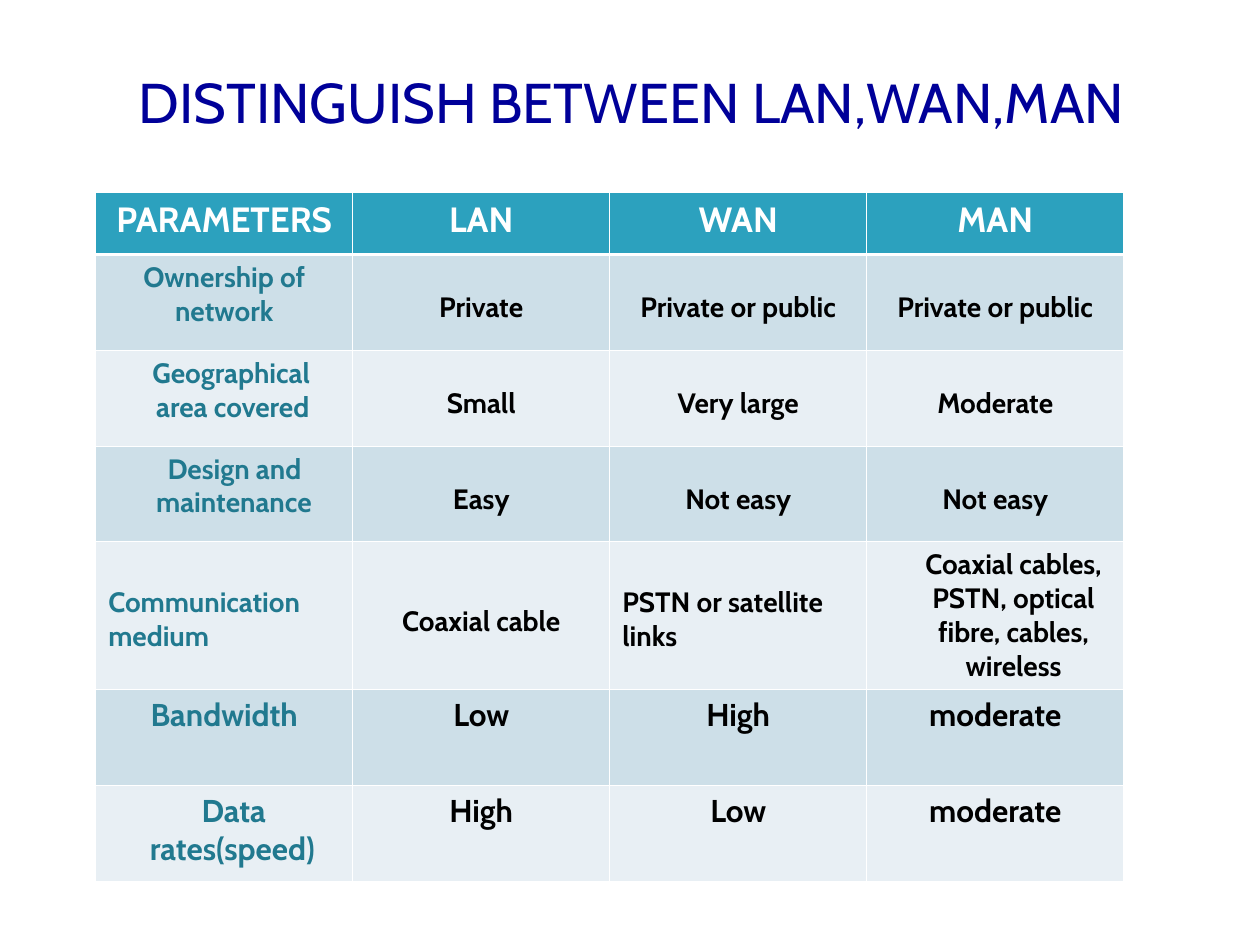
from lxml.etree import SubElement
from pptx import Presentation
from pptx.dml.color import RGBColor
from pptx.enum.text import MSO_ANCHOR as Anchor, PP_ALIGN as Align
from pptx.oxml.ns import qn
from pptx.util import Inches, Pt

COLORS = {
    "title": "000099", "header": "2CA1BE", "white": "FFFFFF", "label": "21798F",
    "black": "000000", "odd": "CDDFE8", "even": "E8EFF4",
}
HEADERS = ["PARAMETERS", "LAN", "WAN", "MAN"]
BODY = [
    ["Ownership of network", "Private", "Private or public", "Private or public"],
    ["Geographical area covered", "Small", "Very large", "Moderate"],
    ["Design and maintenance", "Easy", "Not easy", "Not easy"],
    ["Communication medium", "Coaxial cable", "PSTN or satellite links",
     "Coaxial cables, PSTN, optical fibre, cables, wireless"],
    ["Bandwidth", "Low", "High", "moderate"],
    ["Data rates(speed)", "High", "Low", "moderate"],
]
ROW_HEIGHTS = [0.49, 0.76, 0.76, 0.76, 1.17, 0.76, 0.76]
COLUMN_WIDTH = 2.04
ROW_SIZES = [20, 16, 16, 16, 16, 18, 18]
LOWERED = 0.29
LEFT = {"align": Align.LEFT}
CELL_FORMATS = {
    (row, column): {"top": LOWERED} for row in (1, 2, 3) for column in (1, 2, 3)
} | {
    (2, 0): LEFT | {"indent": (0.38, -0.03)},
    (3, 0): LEFT | {"indent": (0.38, 0.09)},
    (4, 0): LEFT | {"top": 0.35},
    (4, 1): {"top": 0.5},
    (4, 2): LEFT | {"top": 0.35},
    (4, 3): {"indent": (0.29, 0)},
    (6, 0): LEFT | {"indent": (0.33, 0.41)},
}


class SlideBuilder:
    """Holds the text style and the current slide, and adds elements to it."""

    def __init__(self, slide, font_name="Cabin"):
        self.slide = slide
        self.font_name = font_name

    def color(self, name):
        return RGBColor.from_string(COLORS[name])

    def text(self, paragraph, text, size, color, bold=False, align=Align.CENTER, indent=(0, 0)):
        paragraph.alignment = align
        properties = paragraph._p.get_or_add_pPr()
        for name, value in zip(("marL", "indent"), indent):
            properties.set(name, str(Inches(value)))
        run = paragraph.add_run()
        run.text = text
        values = {"name": self.font_name, "size": Pt(size), "bold": bold}
        for name, value in values.items():
            setattr(run.font, name, value)
        run.font.color.rgb = self.color(color)

    def title(self, text, left, top, width, height):
        shape = self.slide.shapes.add_textbox(*map(Inches, (left, top, width, height)))
        frame = shape.text_frame
        values = {
            "word_wrap": True, "vertical_anchor": Anchor.MIDDLE, "margin_left": 0,
            "margin_top": Inches(0.01), "margin_right": 0, "margin_bottom": 0,
        }
        for name, value in values.items():
            setattr(frame, name, value)
        self.text(frame.paragraphs[0], text, 32, "title", align=Align.LEFT, indent=(0.01, 0))

    def borders(self, cell, widths):
        properties = cell._tc.get_or_add_tcPr()
        for side, width in widths.items():
            line = SubElement(properties, qn(f"a:ln{side}"), w=str(Pt(width)))
            fill = SubElement(line, qn("a:solidFill"))
            SubElement(fill, qn("a:srgbClr"), val=COLORS["white"])

    def cell(self, cell, text, row, column, top=0.05, **paragraph_format):
        thin, thick = 0.45, 1.47
        self.borders(cell, {
            "L": thin, "R": thin,
            "T": thick if row == 1 else thin, "B": thick if row == 0 else thin,
        })
        cell.fill.solid()
        band = "header" if row == 0 else "odd" if row % 2 else "even"
        cell.fill.fore_color.rgb = self.color(band)
        cell.margin_top = Inches(top)
        color = "white" if row == 0 else "label" if column == 0 else "black"
        self.text(cell.text_frame.paragraphs[0], text, ROW_SIZES[row], color,
                  bold=True, **paragraph_format)

    def table(self, rows, left, top):
        width, height = COLUMN_WIDTH * len(rows[0]), sum(ROW_HEIGHTS)
        frame = self.slide.shapes.add_table(
            len(rows), len(rows[0]), *map(Inches, (left, top, width, height)))
        table = frame.table
        for column in table.columns:
            column.width = Inches(COLUMN_WIDTH)
        for row, texts in enumerate(rows):
            table.rows[row].height = Inches(ROW_HEIGHTS[row])
            for column, text in enumerate(texts):
                self.cell(table.cell(row, column), text, row, column,
                          **CELL_FORMATS.get((row, column), {}))


def main():
    presentation = Presentation()
    presentation.slide_width, presentation.slide_height = Inches(10), Inches(7.5)
    builder = SlideBuilder(presentation.slides.add_slide(presentation.slide_layouts[6]))
    builder.table([HEADERS, *BODY], 0.76, 1.53)
    builder.title("DISTINGUISH BETWEEN LAN,WAN,MAN", 1.09, 0.26, 8.07, 1.08)
    presentation.save("out.pptx")


if __name__ == "__main__":
    main()
